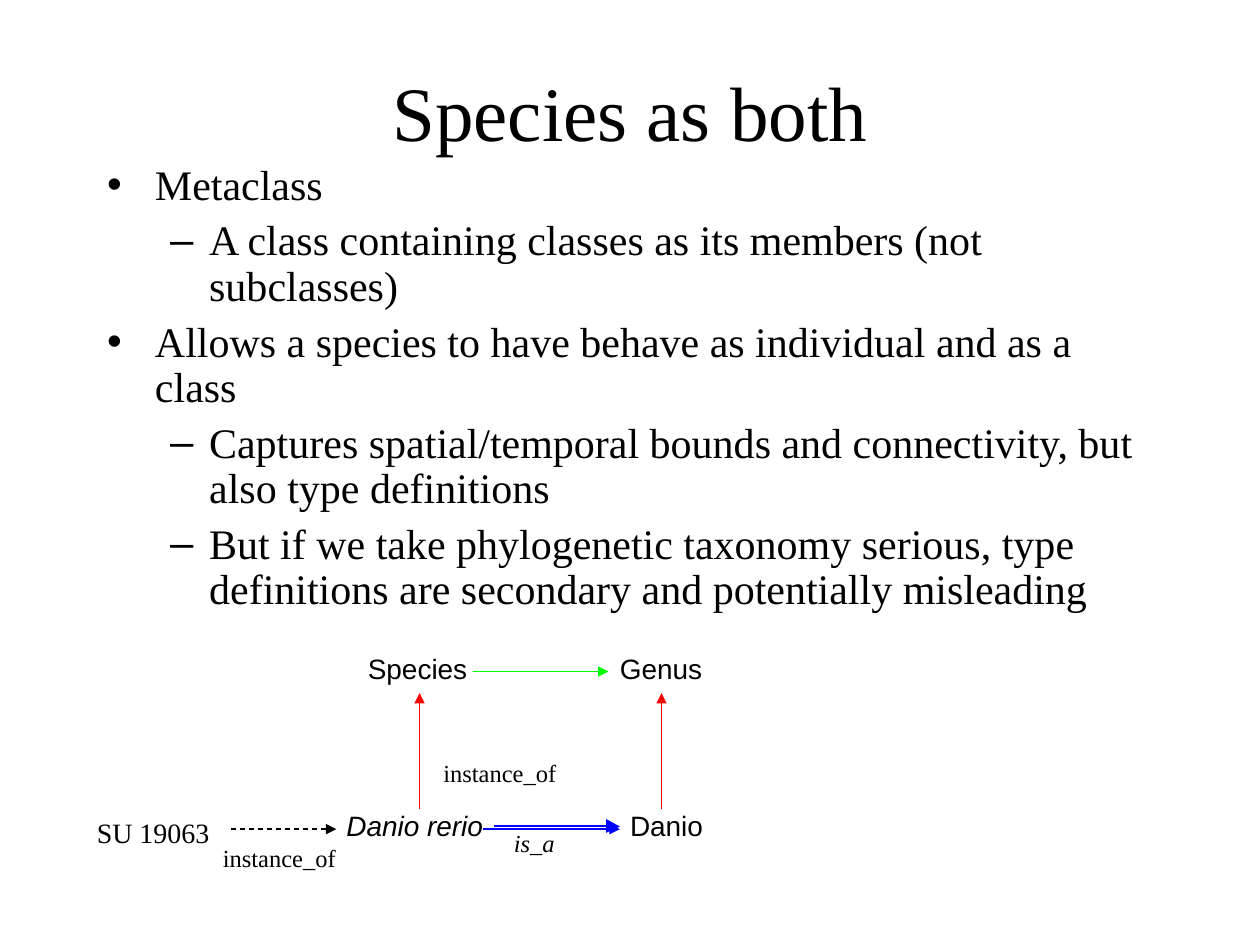
"""Build the slide on species as both metaclass and individual."""
import dataclasses

import lxml.etree
import pptx
import pptx.dml.color
import pptx.enum.dml
import pptx.enum.shapes
import pptx.enum.text
import pptx.oxml.ns
import pptx.util

Inches = pptx.util.Inches
Pt = pptx.util.Pt
qn = pptx.oxml.ns.qn
SERIF = "Times New Roman"
SANS = "Arial"
BLACK, RED, GREEN, BLUE = "000000", "FF0000", "00FF00", "0000FF"


@dataclasses.dataclass
class Label:
    text: str
    left: float
    top: float
    width: float
    height: float
    font: str = SANS
    size: int = 16
    italic: bool = False
    padded: bool = False
    wrap: bool = False
    tail_size: int = 0


@dataclasses.dataclass
class Arrow:
    start: tuple[float, float]
    end: tuple[float, float]
    color: str
    dashed: bool = False


@dataclasses.dataclass
class Bullet:
    text: str
    level: int = 0


BULLETS = [
    Bullet("Metaclass"),
    Bullet("A class containing classes as its members (not subclasses)", 1),
    Bullet("Allows a species to have behave as individual and as a class"),
    Bullet("Captures spatial/temporal bounds and connectivity, but also type definitions", 1),
    Bullet("But if we take phylogenetic taxonomy serious, type definitions are "
           "secondary and potentially misleading", 1),
]
BULLET_STYLES = [("•", 0.38, -0.38), ("–", 0.81, -0.31)]

RELATION = {"font": SERIF, "size": 14, "padded": True}
INSTANCE = {**RELATION, "wrap": True, "tail_size": 24}
LABELS = [
    Label("Danio rerio", 2.75, 6.42, 1.1, 0.27, italic=True),
    Label("Danio", 5, 6.42, 0.59, 0.27),
    Label("Species", 2.92, 5.17, 0.8, 0.27),
    Label("Genus", 4.92, 5.17, 0.67, 0.27),
    Label("SU 19063", 0.67, 6.42, 1.25, 0.37, font=SERIF, padded=True, wrap=True),
    Label("instance_of", 1.67, 6.5, 1.14, 0.5, **INSTANCE),
    Label("instance_of", 3.42, 5.83, 1.14, 0.5, **INSTANCE),
    Label("is_a", 3.98, 6.52, 0.55, 0.34, italic=True, **RELATION),
]
ARROWS = [
    Arrow((5.25, 6.42), (5.25, 5.5), RED),
    Arrow((3.33, 6.42), (3.33, 5.5), RED),
    Arrow((3.75, 5.33), (4.83, 5.33), GREEN),
    Arrow((1.83, 6.58), (2.67, 6.58), BLACK, dashed=True),
    Arrow((3.83, 6.58), (4.92, 6.58), BLUE),
]
IS_A_SHAFT = [(3.92, 6.55), (4.82, 6.55), (4.82, 6.56), (3.92, 6.56)]
IS_A_HEAD = [(4.81, 6.61), (4.92, 6.56), (4.81, 6.5)]


def apply(target, values: dict) -> None:
    for name, value in values.items():
        setattr(target, name, value)


def rgb(color: str):
    return pptx.dml.color.RGBColor.from_string(color)


def add_span(para, text: str, font: str, size: int, italic: bool = False) -> None:
    span = para.add_run()
    span.text = text
    apply(span.font, {"name": font, "size": Pt(size), "italic": italic})
    span.font.color.rgb = rgb(BLACK)


def place(shape, left: float, top: float, width: float, height: float) -> None:
    apply(shape, {"left": Inches(left), "top": Inches(top),
                  "width": Inches(width), "height": Inches(height)})


def fill_title(title) -> None:
    place(title, 0.75, 0.25, 8.5, 1.25)
    apply(title.text_frame, {"vertical_anchor": pptx.enum.text.MSO_ANCHOR.MIDDLE,
                             "auto_size": pptx.enum.text.MSO_AUTO_SIZE.NONE})
    para = title.text_frame.paragraphs[0]
    para.alignment = pptx.enum.text.PP_ALIGN.CENTER
    add_span(para, "Species as both", SERIF, 44)


def fill_body(body, bullets: list[Bullet]) -> None:
    place(body, 0.75, 1.25, 8.42, 3.83)
    frame = body.text_frame
    frame.auto_size = pptx.enum.text.MSO_AUTO_SIZE.NONE
    for index, bullet in enumerate(bullets):
        para = frame.add_paragraph() if index else frame.paragraphs[0]
        apply(para, {"level": bullet.level, "line_spacing": 0.9, "space_before": Pt(6)})
        mark, margin, indent = BULLET_STYLES[bullet.level]
        properties = para._p.get_or_add_pPr()
        properties.set("marL", str(Inches(margin)))
        properties.set("indent", str(Inches(indent)))
        lxml.etree.SubElement(properties, qn("a:buChar")).set("char", mark)
        add_span(para, bullet.text, SERIF, 24)


def add_label(page, label: Label) -> None:
    box = page.shapes.add_textbox(Inches(label.left), Inches(label.top),
                                  Inches(label.width), Inches(label.height))
    across, down = (0.1, 0.05) if label.padded else (0, 0)
    apply(box.text_frame, {
        "margin_left": Inches(across), "margin_right": Inches(across),
        "margin_top": Inches(down), "margin_bottom": Inches(down),
        "word_wrap": label.wrap,
        "auto_size": pptx.enum.text.MSO_AUTO_SIZE.SHAPE_TO_FIT_TEXT,
    })
    para = box.text_frame.paragraphs[0]
    add_span(para, label.text, label.font, label.size, label.italic)
    if label.tail_size:
        para.space_before = Pt(15)
        add_span(para, " ", label.font, label.tail_size)


def add_arrow(page, arrow: Arrow) -> None:
    connector = page.shapes.add_connector(pptx.enum.shapes.MSO_CONNECTOR.STRAIGHT,
                                          *map(Inches, arrow.start + arrow.end))
    element = connector._element
    element.remove(element.find(qn("p:style")))
    connector.line.width = Pt(0.75)
    connector.line.color.rgb = rgb(arrow.color)
    if arrow.dashed:
        connector.line.dash_style = pptx.enum.dml.MSO_LINE.DASH
    outline = element.spPr.find(qn("a:ln"))
    lxml.etree.SubElement(outline, qn("a:tailEnd")).set("type", "triangle")
    lxml.etree.SubElement(element.spPr, qn("a:effectLst"))


def add_outline(page, points: list[tuple[float, float]], color: str) -> None:
    corners = [(Inches(x), Inches(y)) for x, y in points]
    builder = page.shapes.build_freeform(*corners[0])
    builder.add_line_segments(corners[1:], close=True)
    shape = builder.convert_to_shape()
    shape.shadow.inherit = False
    shape.fill.solid()
    shape.fill.fore_color.rgb = rgb(color)
    shape.line.fill.background()


def main() -> None:
    deck = pptx.Presentation()
    apply(deck, {"slide_width": Inches(10), "slide_height": Inches(7.5)})
    page = deck.slides.add_slide(deck.slide_layouts[1])
    fill_title(page.shapes.title)
    fill_body(page.placeholders[1], BULLETS)
    for label in LABELS:
        add_label(page, label)
    for points in (IS_A_SHAFT, IS_A_HEAD):
        add_outline(page, points, BLUE)
    for arrow in ARROWS:
        add_arrow(page, arrow)
    deck.save("out.pptx")


if __name__ == "__main__":
    main()
